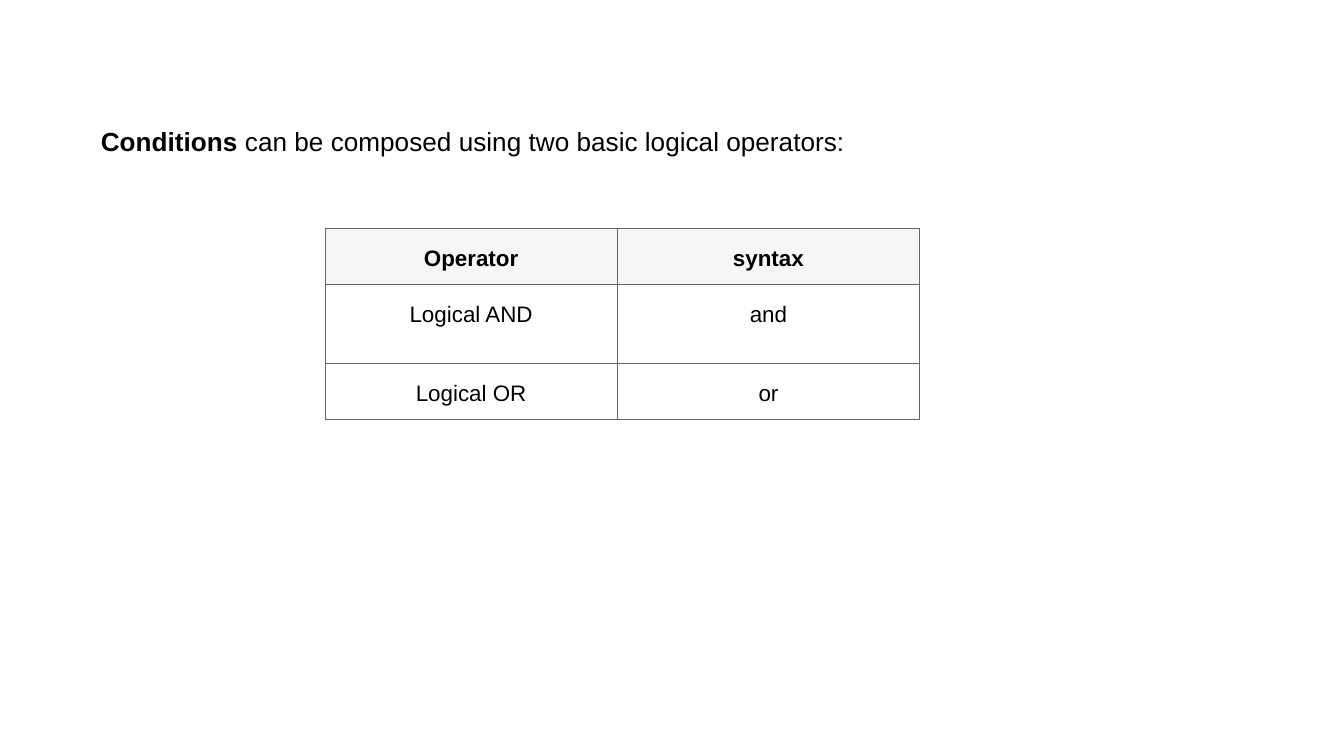
import pptx
import pptx.util
import pptx.dml.color
import pptx.enum.text
import pptx.oxml
import pptx.oxml.ns

Pt = pptx.util.Pt
ALIGN = pptx.enum.text.PP_ALIGN

# Content
INTRO = [("Conditions ", True),
         ("can be composed using two basic logical operators:", False)]
ROWS = [("Operator", "syntax"),
        ("Logical AND", "and"),
        ("Logical OR", "or")]

# Layout and colours
WIDTHS = [156.5, 162]
HEIGHTS = [30, 42.3, 30]
COLORS = {"text": "000000", "head": "F6F6F6", "cell": "FFFFFF", "line": "666666"}


def color(name):
    return pptx.dml.color.RGBColor.from_string(COLORS[name])


def write(frame, runs, size=12, align=ALIGN.CENTER, spacing=1.15):
    para = frame.paragraphs[0]
    para.alignment = align
    para.line_spacing = spacing
    para.space_before = Pt(0)
    for text, bold in runs:
        run = para.add_run()
        run.text = text
        run.font.name = "Arial"
        run.font.size = Pt(size)
        run.font.bold = bold
        run.font.color.rgb = color("text")
    return para


def border(cell):
    props = cell._tc.get_or_add_tcPr()
    for side in ("lnL", "lnR", "lnT", "lnB"):
        props.append(pptx.oxml.parse_xml(
            f'<a:{side} {pptx.oxml.ns.nsdecls("a")} w="{Pt(0.75)}">'
            f'<a:solidFill><a:srgbClr val="{COLORS["line"]}"/></a:solidFill>'
            f'</a:{side}>'))


deck = pptx.Presentation()
deck.slide_width, deck.slide_height = Pt(720), Pt(405)
slide = deck.slides.add_slide(deck.slide_layouts[1])
title = slide.shapes.title
title._element.getparent().remove(title._element)

# Intro sentence
body = slide.placeholders[1]
body.left, body.top, body.width, body.height = Pt(46.8), Pt(51.8), Pt(671), Pt(55.4)
frame = body.text_frame
frame.word_wrap = True
frame.auto_size = pptx.enum.text.MSO_AUTO_SIZE.NONE
frame.vertical_anchor = pptx.enum.text.MSO_ANCHOR.TOP
frame.margin_left = frame.margin_right = Pt(7.2)
frame.margin_top = frame.margin_bottom = Pt(7.2)
para = write(frame, INTRO, size=14, align=ALIGN.JUSTIFY, spacing=1.5)
props = para._p.get_or_add_pPr()
props.set("marL", "0")
props.set("indent", "0")
props.append(pptx.oxml.parse_xml(f'<a:buNone {pptx.oxml.ns.nsdecls("a")}/>'))

# Operator table
table = slide.shapes.add_table(len(ROWS), len(WIDTHS), Pt(174.2), Pt(122.6),
                               Pt(sum(WIDTHS)), Pt(sum(HEIGHTS))).table
for col, width in zip(table.columns, WIDTHS):
    col.width = Pt(width)
for r, (row, height) in enumerate(zip(ROWS, HEIGHTS)):
    table.rows[r].height = Pt(height)
    for c, text in enumerate(row):
        cell = table.cell(r, c)
        cell.margin_left = cell.margin_right = Pt(4.5)
        cell.margin_top = cell.margin_bottom = Pt(7.2)
        border(cell)
        cell.fill.solid()
        cell.fill.fore_color.rgb = color("cell" if r else "head")
        write(cell.text_frame, [(text, r == 0)])

deck.save("out.pptx")
